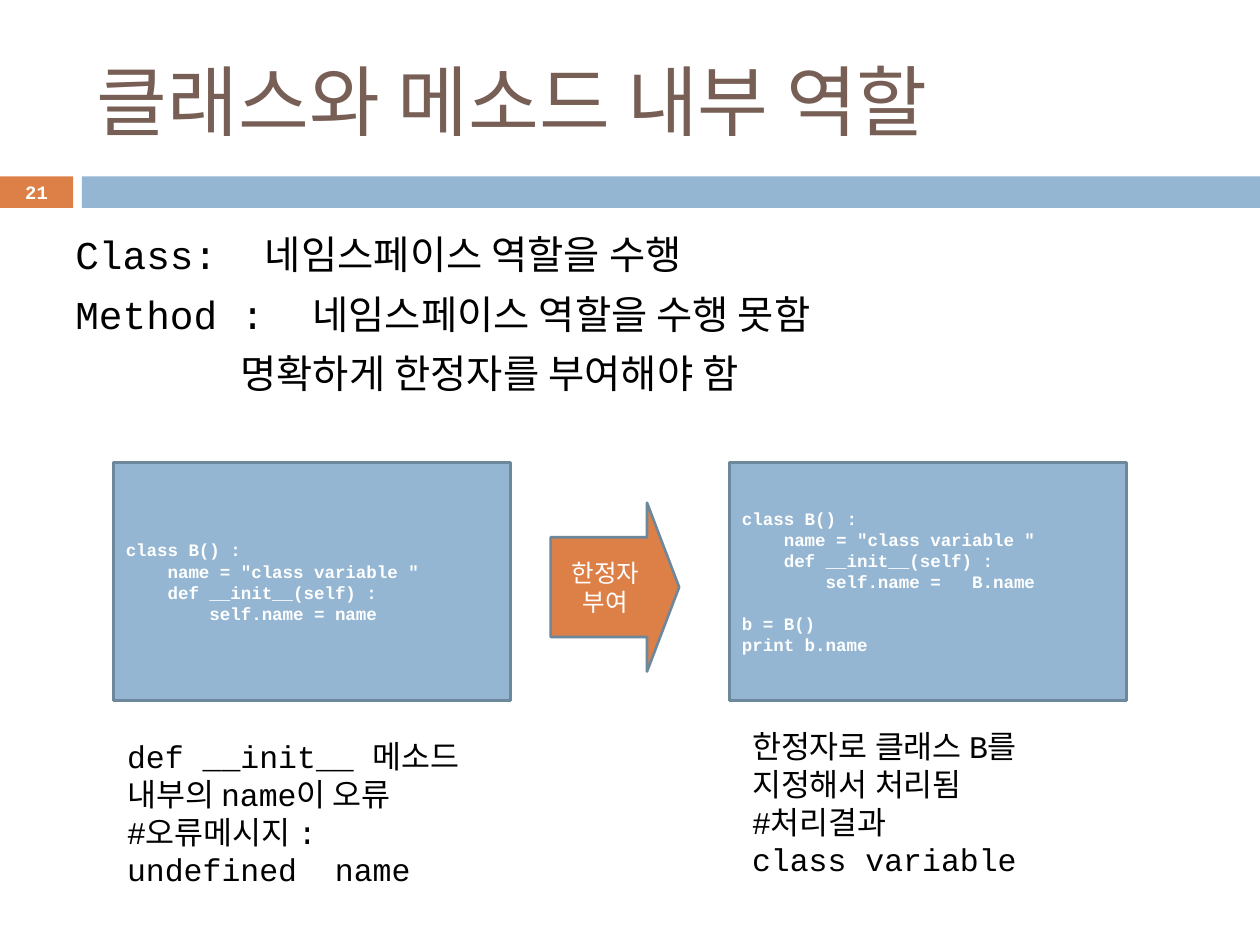
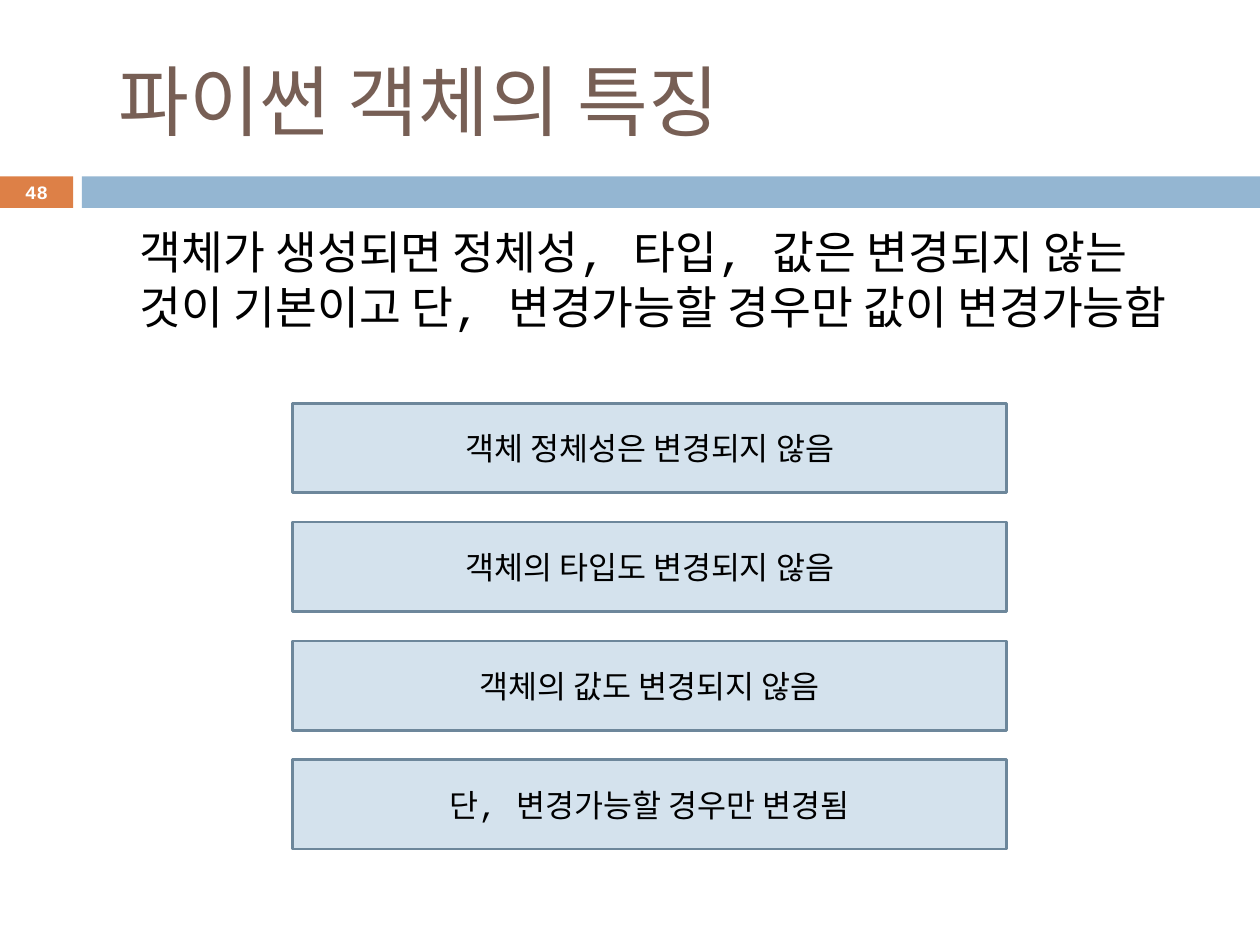
from pptx import Presentation
from pptx.dml.color import RGBColor
from pptx.enum.shapes import MSO_SHAPE
from pptx.enum.text import MSO_ANCHOR, PP_ALIGN
from pptx.util import Inches, Pt

FONT = "Courier New"
BROWN = RGBColor(0x77, 0x5F, 0x55)
ORANGE = RGBColor(0xDD, 0x80, 0x47)
BLUE = RGBColor(0x94, 0xB6, 0xD2)
PALE_BLUE = RGBColor(0xD4, 0xE2, 0xED)
OUTLINE = RGBColor(0x6D, 0x87, 0x9B)
WHITE = RGBColor(0xFF, 0xFF, 0xFF)
BLACK = RGBColor(0, 0, 0)

ROLES = {
    "title": "클래스와 메소드 내부 역할",
    "number": "21",
    "body": [
        "Class:  네임스페이스 역할을 수행",
        "Method :  네임스페이스 역할을 수행 못함",
        "명확하게 한정자를 부여해야 함",
    ],
    "arrow": ["한정자", "부여"],
    "examples": [
        {
            "code": [
                "class B() :",
                '    name = "class variable "',
                "    def __init__(self) :",
                "        self.name = name",
            ],
            "call": [],
            "note": [
                "def __init__ 메소드 내부의 name이 오류",
                "#오류메시지 :",
                "undefined  name",
            ],
            "code_left": 0.9,
            "note_at": (0.91, 5.8),
        },
        {
            "code": [
                "class B() :",
                '    name = "class variable "',
                "    def __init__(self) :",
                "        self.name =   B.name",
            ],
            "call": ["b = B()", "print b.name"],
            "note": [
                "한정자로 클래스 B를 지정해서 처리됨",
                "#처리결과",
                "class variable",
            ],
            "code_left": 5.79,
            "note_at": (5.87, 5.72),
        },
    ],
}

TRAITS = {
    "title": "파이썬 객체의 특징",
    "number": "48",
    "body": [
        "객체가 생성되면 정체성, 타입, 값은 변경되지 않는 것이 기본이고 단, "
        "변경가능할 경우만 값이 변경가능함"
    ],
    "boxes": [
        "객체 정체성은 변경되지 않음",
        "객체의 타입도 변경되지 않음",
        "객체의 값도 변경되지 않음",
        "단, 변경가능할 경우만 변경됨",
    ],
}
BOX_TOP, BOX_STEP = 3.2, 0.943


def write(shape, lines, size, color, bold=False, align=PP_ALIGN.LEFT,
          anchor=MSO_ANCHOR.MIDDLE, before=0):
    frame = shape.text_frame
    frame.word_wrap = True
    frame.vertical_anchor = anchor
    for index, line in enumerate(lines):
        paragraph = frame.paragraphs[0] if index == 0 else frame.add_paragraph()
        paragraph.alignment = align
        paragraph.space_before = Pt(before)
        run = paragraph.add_run()
        run.text = line
        run.font.name = FONT
        run.font.size = Pt(size)
        run.font.bold = bold
        run.font.color.rgb = color
    return frame.paragraphs


def indent(paragraph, width):
    properties = paragraph._p.get_or_add_pPr()
    properties.set("marL", str(Inches(width)))
    properties.set("indent", "0")


def add_text(slide, at, lines, size, color, **style):
    box = slide.shapes.add_textbox(*map(Inches, at))
    return write(box, lines, size, color, **style)


def add_block(slide, at, fill, kind=MSO_SHAPE.RECTANGLE, outlined=True):
    shape = slide.shapes.add_shape(kind, *map(Inches, at))
    shape.shadow.inherit = False
    shape.fill.solid()
    shape.fill.fore_color.rgb = fill
    if outlined:
        shape.line.color.rgb = OUTLINE
        shape.line.width = Pt(1.5)
    else:
        shape.line.fill.background()
    return shape


def add_page(presentation, content, title_indent=0):
    slide = presentation.slides.add_slide(presentation.slide_layouts[6])
    add_block(slide, (0, 1.4, 0.58, 0.25), ORANGE, outlined=False)
    add_block(slide, (0.65, 1.4, 9.35, 0.25), BLUE, outlined=False)
    title = add_text(slide, (0.67, 0.25, 8.92, 1.08), [content["title"]], 44, BROWN)
    indent(title[0], title_indent)
    add_text(slide, (0, 1.39, 0.58, 0.27), [content["number"]], 10.8, WHITE,
             bold=True, align=PP_ALIGN.CENTER)
    return slide


def build_roles(presentation):
    slide = add_page(presentation, ROLES)
    body = add_text(slide, (0.5, 1.78, 9, 1.5), ROLES["body"], 22.5, BLACK,
                    anchor=MSO_ANCHOR.TOP, before=7)
    indent(body[-1], 1.31)
    for example in ROLES["examples"]:
        block = add_block(slide, (example["code_left"], 3.67, 3.15, 1.89), BLUE)
        code, call = example["code"], example["call"]
        paragraphs = write(block, code + call, 10, WHITE, bold=True)
        if call:
            paragraphs[len(code)].space_before = Pt(12)
        add_text(slide, (*example["note_at"], 2.99, 1.31), example["note"], 18, BLACK,
                 anchor=MSO_ANCHOR.TOP)
    arrow = add_block(slide, (4.37, 3.99, 1.02, 1.34), ORANGE, MSO_SHAPE.RIGHT_ARROW)
    arrow.adjustments[0] = 0.59
    arrow.adjustments[1] = 0.25
    write(arrow, ROLES["arrow"], 14, WHITE, align=PP_ALIGN.CENTER)


def build_traits(presentation):
    slide = add_page(presentation, TRAITS, title_indent=0.17)
    body = add_text(slide, (0.51, 1.73, 9, 1.55), TRAITS["body"], 26, BLACK,
                    anchor=MSO_ANCHOR.TOP, before=5.5)
    indent(body[0], 0.5)
    for row, label in enumerate(TRAITS["boxes"]):
        box = add_block(slide, (2.32, BOX_TOP + row * BOX_STEP, 5.67, 0.71), PALE_BLUE)
        write(box, [label], 18, BLACK, align=PP_ALIGN.CENTER)


def main():
    presentation = Presentation()
    presentation.slide_width = Inches(10)
    presentation.slide_height = Inches(7.5)
    build_roles(presentation)
    build_traits(presentation)
    presentation.save("out.pptx")


if __name__ == "__main__":
    main()
